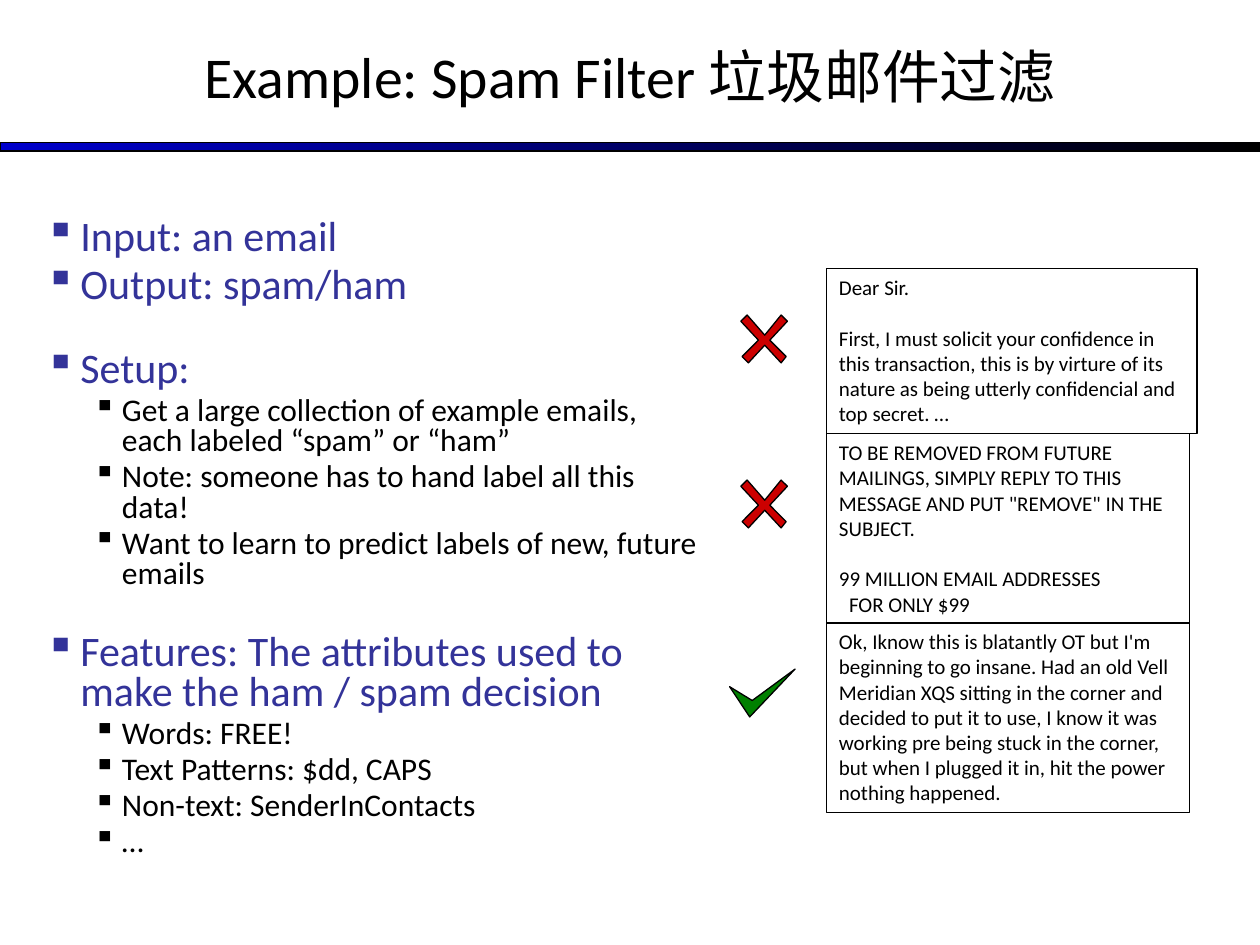
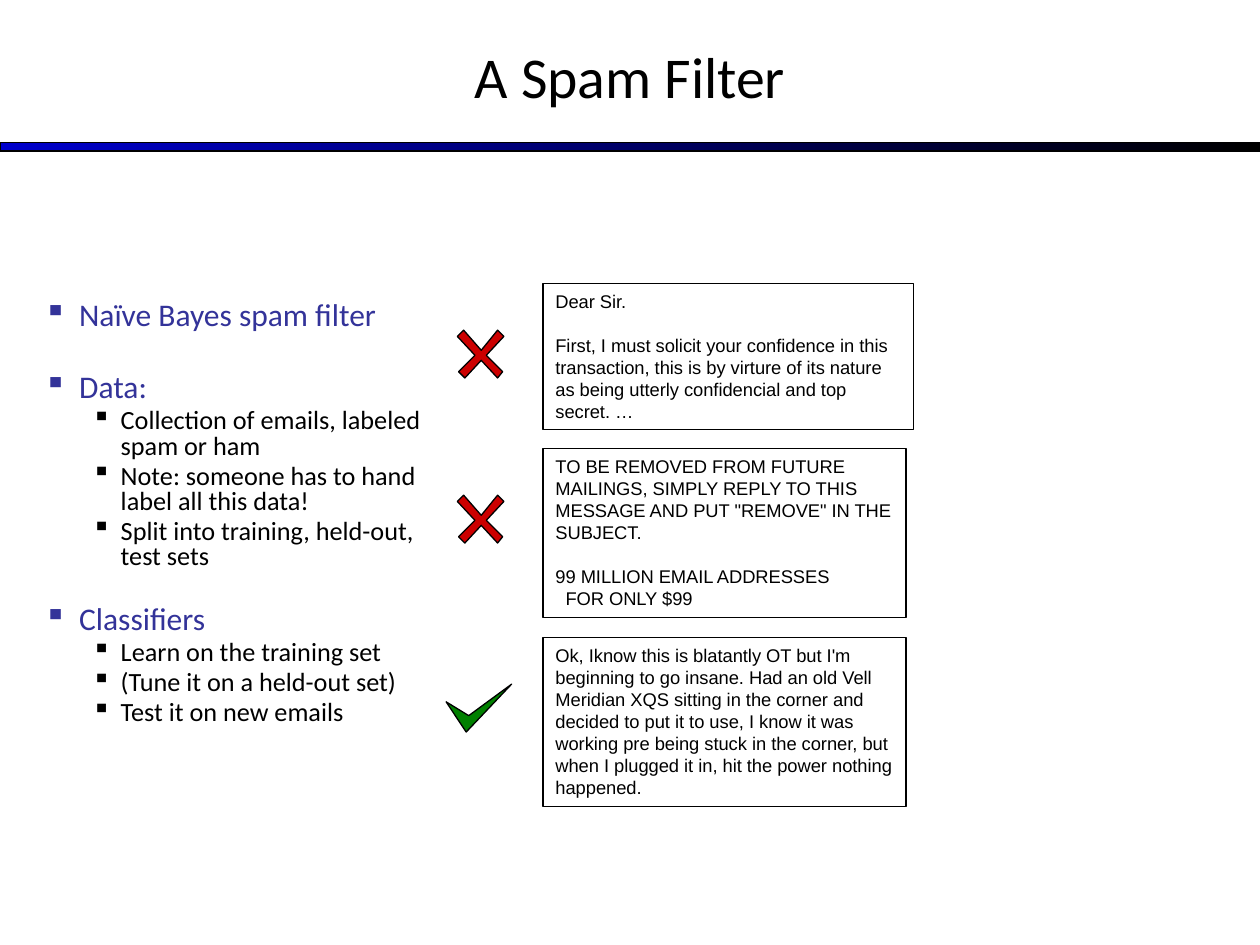
import pptx
import pptx.dml.color
import pptx.enum.shapes
import pptx.enum.text
import pptx.oxml
import pptx.oxml.ns
import pptx.util
from pptx.util import Inches

RGBColor = pptx.dml.color.RGBColor
BLACK = RGBColor(0x00, 0x00, 0x00)
BAND_BLUE = RGBColor(0x00, 0x00, 0xCC)
TOPIC_BLUE = RGBColor(0x33, 0x33, 0x99)
SPAM_RED = RGBColor(0xCC, 0x00, 0x00)
HAM_GREEN = RGBColor(0x00, 0x80, 0x00)

CROSS = [(0, 0.05), (0.14, 0.2), (0.01, 0.33), (0.06, 0.38), (0.19, 0.24), (0.32, 0.38),
         (0.36, 0.33), (0.23, 0.2), (0.37, 0.05), (0.32, 0), (0.19, 0.16), (0.05, 0)]
CHECK = [(0.16, 0.38), (0.52, 0), (0.18, 0.25), (0, 0.14)]
SPAM = (CROSS, SPAM_RED, -0.68)
HAM = (CHECK, HAM_GREEN, -0.77)

EMAILS = [
    (0, 2.94, SPAM, [
        ("Dear Sir.", {}),
        ("First, I must solicit your confidence in this transaction, this is by virture of its "
         "nature as being utterly confidencial and top secret. …", {"new_block": True})]),
    (1.31, 2.88, SPAM, [
        ("TO BE REMOVED FROM FUTURE MAILINGS, SIMPLY REPLY TO THIS MESSAGE AND PUT "
         "\"REMOVE\" IN THE SUBJECT.", {}),
        ("99 MILLION EMAIL ADDRESSES", {"new_block": True}),
        ("FOR ONLY $99", {"left": 0.08})]),
    (2.81, 2.88, HAM, [
        ("Ok, Iknow this is blatantly OT but I'm beginning to go insane. Had an old Vell "
         "Meridian XQS sitting in the corner and decided to put it to use, I know it was "
         "working pre being stuck in the corner, but when I plugged it in, hit the power "
         "nothing happened.", {})]),
]

TASK_OUTLINE = [
    ("Input: an email", []),
    ("Output: spam/ham", []),
    ("Setup:", ["Get a large collection of example emails, each labeled “spam” or “ham”",
                "Note: someone has to hand label all this data!",
                "Want to learn to predict labels of new, future emails"]),
    ("Features: The attributes used to make the ham / spam decision",
     ["Words: FREE!", "Text Patterns: $dd, CAPS", "Non-text: SenderInContacts", "…"]),
]
METHOD_OUTLINE = [
    ("Naïve Bayes spam filter", []),
    ("Data:", ["Collection of emails, labeled spam or ham",
               "Note: someone has to hand label all this data!",
               "Split into training, held-out, test sets"]),
    ("Classifiers", ["Learn on the training set", "(Tune it on a held-out set)",
                     "Test it on new emails"]),
]


def write(frame, text, size=18, font="Calibri", color=BLACK, align="LEFT", before=0,
          spacing=None, left=0, hang=0, bullet=None):
    paragraph = frame.paragraphs[0]
    if paragraph.runs:
        paragraph = frame.add_paragraph()
    properties = paragraph._p.get_or_add_pPr()
    if left:
        properties.set("marL", str(Inches(left)))
        properties.set("indent", str(Inches(-hang)))
    if bullet:
        namespace = pptx.oxml.ns.nsdecls("a")
        properties.append(pptx.oxml.parse_xml(
            f'<a:buClr {namespace}><a:srgbClr val="{color}"/></a:buClr>'))
        properties.append(pptx.oxml.parse_xml(f'<a:buChar {namespace} char="{bullet}"/>'))
    paragraph.alignment = getattr(pptx.enum.text.PP_ALIGN, align)
    paragraph.space_before = pptx.util.Pt(before)
    if spacing:
        paragraph.line_spacing = spacing
    run = paragraph.add_run()
    run.text = text
    run.font.size = pptx.util.Pt(size)
    run.font.name = font
    run.font.color.rgb = color


class Deck:
    LINE_WIDTH = 0.75
    LINE_SPACING = 0.8
    BEFORE_RATIO = 0.18
    BLANK_RATIO = 1.16

    def __init__(self):
        self.presentation = pptx.Presentation()
        self.presentation.slide_width = Inches(10)
        self.presentation.slide_height = Inches(7.5)
        self.slide = None

    def outline(self, shape):
        shape.shadow.inherit = False
        shape.line.color.rgb = BLACK
        shape.line.width = pptx.util.Pt(self.LINE_WIDTH)

    def rectangle(self, left, top, width, height):
        shape = self.slide.shapes.add_shape(
            pptx.enum.shapes.MSO_SHAPE.RECTANGLE,
            Inches(left), Inches(top), Inches(width), Inches(height))
        self.outline(shape)
        return shape

    def new_slide(self, heading):
        self.slide = self.presentation.slides.add_slide(self.presentation.slide_layouts[5])
        title = self.slide.shapes.title
        title.left, title.top = Inches(0), Inches(-0.03)
        title.width, title.height = Inches(10), Inches(1.25)
        title.text_frame.auto_size = pptx.enum.text.MSO_AUTO_SIZE.NONE
        title.text_frame.vertical_anchor = pptx.enum.text.MSO_ANCHOR.MIDDLE
        write(title.text_frame, heading, size=33, align="CENTER")
        self.band()

    def band(self):
        fill = self.rectangle(0, 1.13, 10, 0.07).fill
        fill.gradient()
        fill.gradient_angle = 0
        for stop, color in zip(fill.gradient_stops, (BAND_BLUE, BLACK)):
            stop.color.rgb = color

    def topics(self, outline, left, top, width, height, topic_size, detail_size,
               gap_sizes):
        box = self.slide.shapes.add_textbox(
            Inches(left), Inches(top), Inches(width), Inches(height))
        frame = box.text_frame
        frame.word_wrap = True
        bullets = {"bullet": "▪", "spacing": self.LINE_SPACING}
        for index, (topic, details) in enumerate(outline):
            gap = self.BLANK_RATIO * gap_sizes.get(index, 0)
            before = self.BEFORE_RATIO * topic_size + gap if index else 0
            write(frame, topic, size=topic_size, color=TOPIC_BLUE, before=before,
                  left=0.28, hang=0.28, **bullets)
            for detail in details:
                write(frame, detail, size=detail_size,
                      before=self.BEFORE_RATIO * detail_size,
                      left=0.61, hang=0.23, **bullets)

    def mark(self, points, color, left, top):
        corners = [(Inches(left + x), Inches(top + y)) for x, y in points]
        builder = self.slide.shapes.build_freeform(*corners[0], scale=1.0)
        builder.add_line_segments(corners[1:], close=True)
        shape = builder.convert_to_shape()
        shape.fill.solid()
        shape.fill.fore_color.rgb = color
        self.outline(shape)

    def emails(self, left, top, heights, size, font, blank_line):
        for (offset, width, label, lines), height in zip(EMAILS, heights):
            email = self.rectangle(left, top + offset, width, height)
            email.fill.background()
            frame = email.text_frame
            frame.word_wrap = True
            frame.vertical_anchor = pptx.enum.text.MSO_ANCHOR.TOP
            for text, options in lines:
                before = blank_line if options.get("new_block") else 0
                write(frame, text, size=size, font=font, before=before,
                      left=options.get("left", 0))
            points, color, shift = label
            self.mark(points, color, left + shift, top + offset + 0.37)


def main():
    deck = Deck()

    deck.new_slide("Example: Spam Filter 垃圾邮件过滤")
    deck.topics(TASK_OUTLINE, 0.26, 1.69, 5.38, 4.12, topic_size=24, detail_size=18,
                gap_sizes={2: 18, 3: 18})
    deck.emails(6.56, 2.13, (1.31, 1.51, 1.51), size=12, font="Calibri", blank_line=14.6)

    deck.new_slide("A Spam Filter")
    deck.topics(METHOD_OUTLINE, 0.25, 2.35, 3.19, 3.71, topic_size=18, detail_size=15,
                gap_sizes={1: 18, 2: 15})
    deck.emails(4.31, 2.25, (1.16, 1.34, 1.34), size=10.5, font="Arial", blank_line=12.6)

    deck.presentation.save("out.pptx")


if __name__ == "__main__":
    main()
